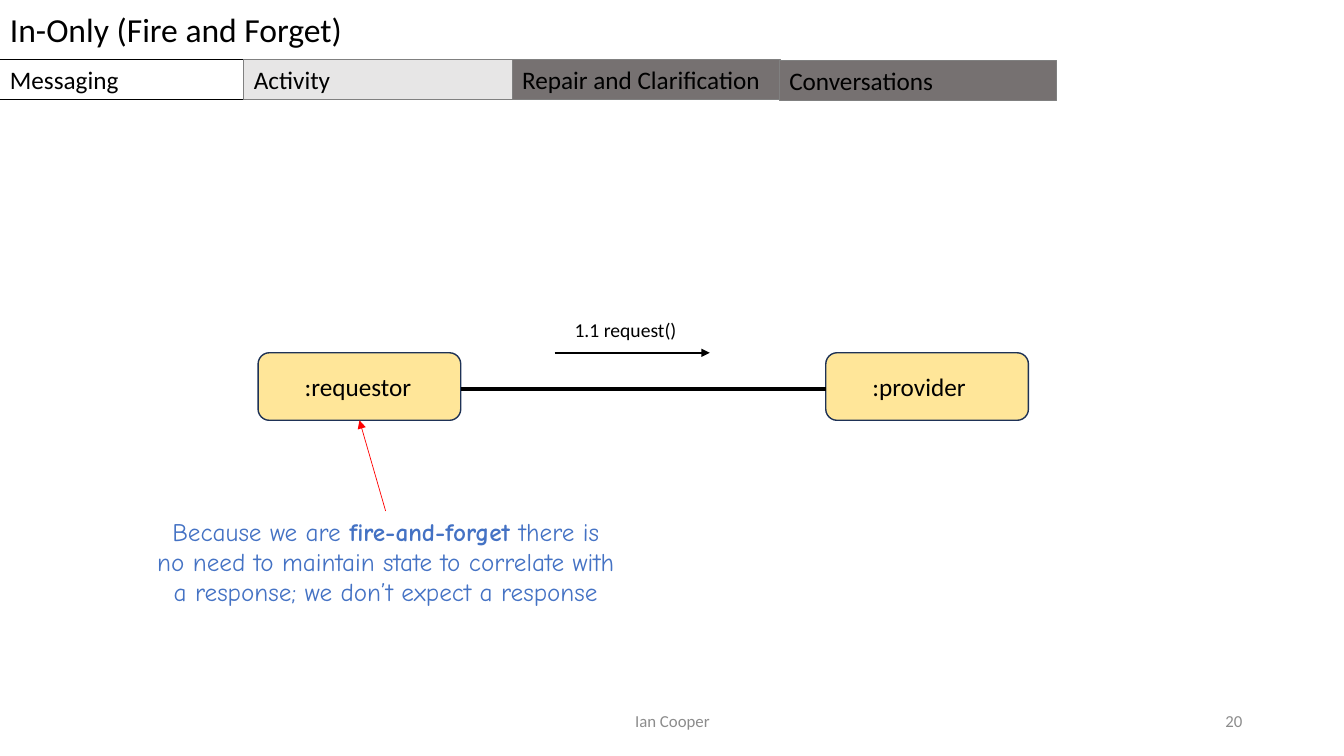
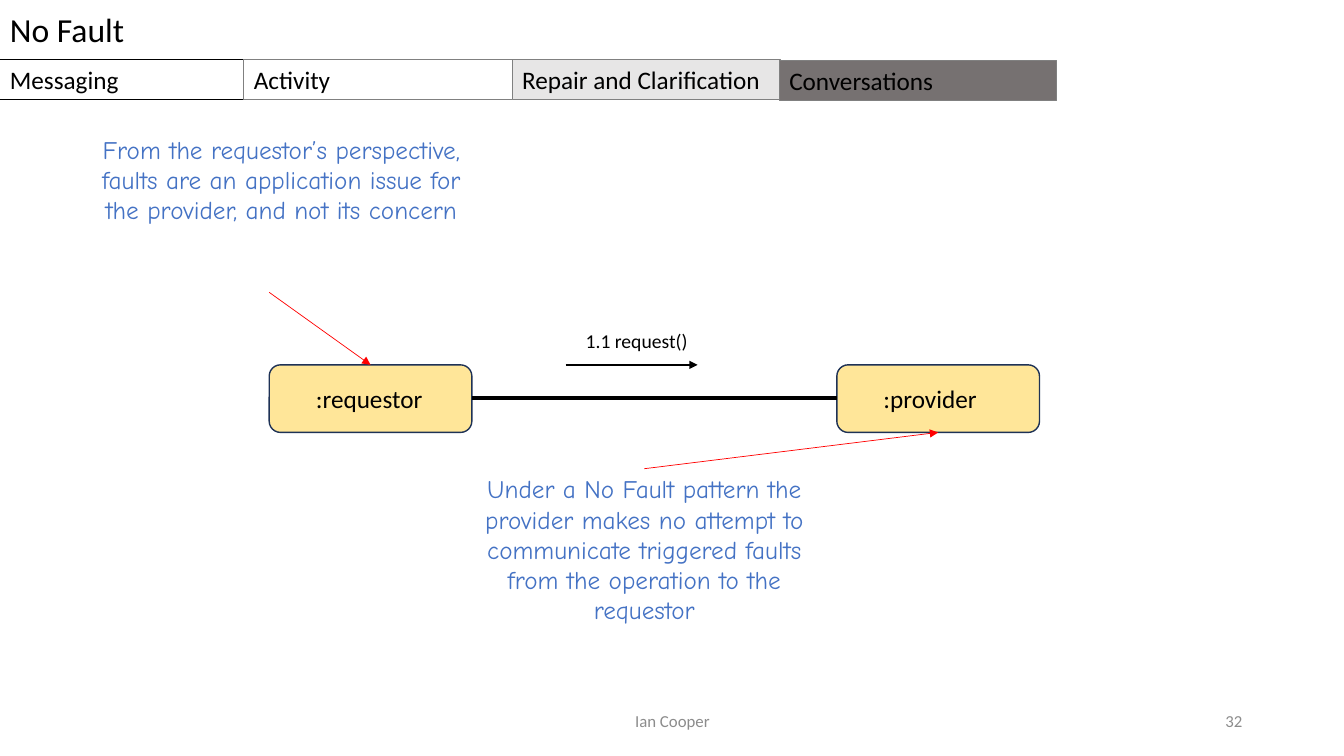
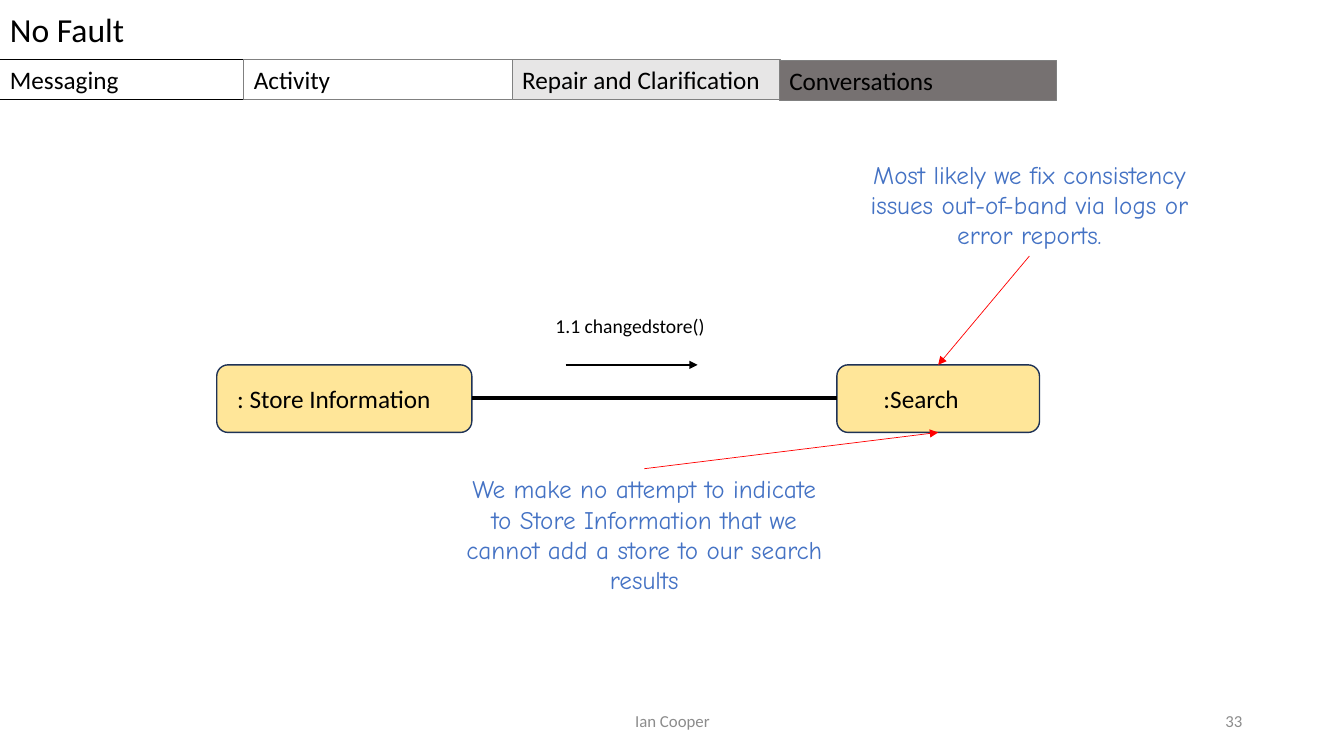
"""Build three slides on one-way messaging patterns."""
from dataclasses import dataclass

from lxml import etree
from pptx import Presentation
from pptx import util as u
from pptx.dml.color import RGBColor
from pptx.enum import shapes, text
from pptx.oxml.ns import qn

BLACK = RGBColor(0x00, 0x00, 0x00)
WHITE = RGBColor(0xFF, 0xFF, 0xFF)
GREY = RGBColor(0x80, 0x80, 0x80)
FOOTER_GREY = RGBColor(0x8C, 0x8C, 0x8C)
CURRENT = RGBColor(0xE7, 0xE6, 0xE6)
UPCOMING = RGBColor(0x76, 0x71, 0x71)
YELLOW = RGBColor(0xFF, 0xE6, 0x99)
NAVY = RGBColor(0x1E, 0x32, 0x56)
BLUE = RGBColor(0x44, 0x72, 0xC4)
RED = RGBColor(0xFF, 0x00, 0x00)

BODY_FONT = "Calibri"
NOTE_FONT = "Comic Neue"
LEFT, CENTER, RIGHT = (text.PP_ALIGN.LEFT, text.PP_ALIGN.CENTER, text.PP_ALIGN.RIGHT)
TOP, MIDDLE = text.MSO_ANCHOR.TOP, text.MSO_ANCHOR.MIDDLE


@dataclass(frozen=True)
class Box:
    """A rectangle on the page, in inches."""
    left: float
    top: float
    width: float
    height: float

    @property
    def right(self):
        """Return the right edge."""
        return self.left + self.width

    @property
    def top_middle(self):
        """Return the middle of the top edge."""
        return self.left + self.width / 2, self.top

    @property
    def bottom_middle(self):
        """Return the middle of the bottom edge."""
        return self.left + self.width / 2, self.top + self.height

    def lengths(self):
        """Return the four measures as lengths."""
        return [u.Inches(value) for value in (self.left, self.top, self.width, self.height)]


@dataclass(frozen=True)
class Participant:
    """A named object in a message exchange."""
    name: str
    box: Box
    indent: float = 0.43


@dataclass(frozen=True)
class Message:
    """A call label with its arrow, placed from the sender's top right corner."""
    label: str
    label_box: Box
    arrow_length: float
    link_drop: float


@dataclass(frozen=True)
class Note:
    """A comment whose pointer runs from start to end."""
    box: Box
    spans: tuple
    start: tuple
    end: tuple


TITLE_BOX = Box(0, -0.01, 13.33, 0.61)
AUTHOR_BOX = Box(4.42, 6.95, 4.5, 0.4)
NUMBER_BOX = Box(9.42, 6.95, 3, 0.4)
TABS = (
    ("Messaging", Box(0, 0.59, 2.43, 0.4), BLACK),
    ("Activity", Box(2.42, 0.59, 2.66, 0.4), GREY),
    ("Repair and Clarification", Box(5.08, 0.59, 2.66, 0.4), GREY),
    ("Conversations", Box(7.73, 0.6, 2.75, 0.4), GREY),
)


def write(shape, spans, size, color=BLACK, font=BODY_FONT, align=LEFT,
          anchor=TOP, wrap=True, **margins):
    """Write (text, bold) spans as one paragraph of the shape."""
    frame = shape.text_frame
    settings = {"word_wrap": wrap, "vertical_anchor": anchor}
    settings.update({name: u.Inches(value) for name, value in margins.items()})
    for name, value in settings.items():
        setattr(frame, name, value)
    para = frame.paragraphs[0]
    para.alignment = align
    for words, bold in spans:
        span = para.add_run()
        span.text = words
        for name, value in {"name": font, "size": u.Pt(size), "bold": bold}.items():
            setattr(span.font, name, value)
        span.font.color.rgb = color


def add_text(page, box, spans, size, **style):
    """Add a text box."""
    write(page.shapes.add_textbox(*box.lengths()), spans, size, **style)


def add_block(page, box, fill, line=None, width=0.75,
              kind=shapes.MSO_SHAPE.RECTANGLE):
    """Add a filled shape with an optional outline."""
    block = page.shapes.add_shape(kind, *box.lengths())
    block.shadow.inherit = False
    block.fill.solid()
    block.fill.fore_color.rgb = fill
    if line is None:
        block.line.fill.background()
    else:
        block.line.color.rgb = line
        block.line.width = u.Pt(width)
    return block


def add_line(page, start, end, color, width, arrow=False):
    """Add a straight connector, with an arrowhead at its end if asked."""
    points = [u.Inches(value) for value in (*start, *end)]
    line = page.shapes.add_connector(shapes.MSO_CONNECTOR.STRAIGHT, *points)
    line.line.color.rgb = color
    line.line.width = u.Pt(width)
    if arrow:
        etree.SubElement(line.line._get_or_add_ln(), qn("a:tailEnd"), type="triangle")
    etree.SubElement(line._element.spPr, qn("a:effectLst"))


def add_frame(page, title, number):
    """Add the title band and the footer."""
    band = add_block(page, TITLE_BOX, WHITE)
    write(band, [(title, False)], 24, margin_top=0.1, margin_bottom=0.1)
    footers = ((AUTHOR_BOX, "Ian Cooper", CENTER), (NUMBER_BOX, str(number), RIGHT))
    for box, words, align in footers:
        add_text(page, box, [(words, False)], 12, color=FOOTER_GREY,
                 align=align, anchor=MIDDLE)


def add_tabs(page, current):
    """Add the topic tabs: white when done, light when current, dark when to come."""
    names = [name for name, _, _ in TABS]
    position = names.index(current)
    for index, (name, box, line) in enumerate(TABS):
        fill = WHITE if index < position else CURRENT if index == position else UPCOMING
        write(add_block(page, box, fill, line), [(name, False)], 18)


def add_exchange(page, sender, receiver, message):
    """Add two participants, the link between them and the message."""
    for participant in (sender, receiver):
        block = add_block(page, participant.box, YELLOW, NAVY, 1,
                          shapes.MSO_SHAPE.ROUNDED_RECTANGLE)
        write(block, [(participant.name, False)], 18, anchor=MIDDLE, wrap=False,
              margin_left=participant.indent)
    left, top = sender.box.right, sender.box.top
    link_top = top + message.link_drop
    add_line(page, (left, link_top), (receiver.box.left, link_top), BLACK, 2.5)
    arrow_left = left + 0.93
    add_line(page, (arrow_left, top), (arrow_left + message.arrow_length, top),
             BLACK, 1.5, arrow=True)
    offset = message.label_box
    label_box = Box(left + offset.left, top + offset.top, offset.width, offset.height)
    add_text(page, label_box, [(message.label, False)], 14, wrap=False)


def add_note(page, note):
    """Add a comment and its red pointer."""
    add_text(page, note.box, note.spans, 18, color=BLUE, font=NOTE_FONT, align=CENTER)
    add_line(page, note.start, note.end, RED, 0.5, arrow=True)


def add_pattern_slide(deck, title, number, topic, sender, receiver, message, notes):
    """Add one slide that shows a messaging pattern."""
    page = deck.slides.add_slide(deck.slide_layouts[6])
    add_frame(page, title, number)
    add_exchange(page, sender, receiver, message)
    for note in notes:
        add_note(page, note)
    add_tabs(page, topic)


def add_fire_and_forget(deck):
    """Add the fire and forget slide."""
    requestor = Participant(":requestor", Box(2.56, 3.5, 2.01, 0.67))
    provider = Participant(":provider", Box(8.19, 3.5, 2.01, 0.67))
    message = Message("1.1 request()", Box(1.03, -0.4, 1.31, 0.34), 1.54, 0.36)
    box = Box(1.45, 5.07, 4.75, 1.31)
    spans = (
        ("Because we are ", False),
        ("fire-and-forget ", True),
        ("there is no need to maintain state to correlate with a response; "
         "we don’t expect a response", False),
    )
    note = Note(box, spans, box.top_middle, requestor.box.bottom_middle)
    add_pattern_slide(deck, "In-Only (Fire and Forget)", 20, "Activity",
                      requestor, provider, message, [note])


def add_no_fault(deck):
    """Add the general slide and the example slide of the No Fault pattern."""
    receiver_box = Box(8.3, 3.62, 2.01, 0.67)
    requestor = Participant(":requestor", Box(2.67, 3.62, 2.01, 0.67))
    provider = Participant(":provider", receiver_box)
    request = Message("1.1 request()", Box(1.03, -0.41, 1.31, 0.34), 1.31, 0.33)
    lower = Box(4.49, 4.65, 3.8, 1.62)
    pointer = (lower.top_middle, receiver_box.bottom_middle)
    pattern_notes = [
        Note(lower, (("Under a No Fault pattern the provider makes no attempt to "
                      "communicate triggered faults from the operation to the "
                      "requestor", False),), *pointer),
        Note(Box(0.89, 1.28, 3.8, 1.31),
             (("From the requestor’s perspective, faults are an application issue "
               "for the provider, and not its concern", False),),
             (2.67, 2.9), requestor.box.top_middle),
    ]
    add_pattern_slide(deck, "No Fault", 32, "Repair and Clarification",
                      requestor, provider, request, pattern_notes)

    store = Participant(": Store Information", Box(2.15, 3.62, 2.53, 0.67), 0.17)
    search = Participant(":Search", receiver_box)
    change = Message("1.1 changedstore()", Box(0.73, -0.55, 1.71, 0.34), 1.31, 0.33)
    upper = Box(8.31, 1.53, 3.8, 1.01)
    example_notes = [
        Note(lower, (("We make no attempt to indicate to Store Information that we "
                      "cannot add a store to our search results", False),), *pointer),
        Note(upper, (("Most likely we fix consistency issues out-of-band via logs or "
                      "error reports.", False),),
             upper.bottom_middle, receiver_box.top_middle),
    ]
    add_pattern_slide(deck, "No Fault", 33, "Repair and Clarification",
                      store, search, change, example_notes)


def main():
    """Build and save the deck."""
    deck = Presentation()
    deck.slide_width, deck.slide_height = u.Inches(13.33), u.Inches(7.5)
    add_fire_and_forget(deck)
    add_no_fault(deck)
    deck.save("out.pptx")


if __name__ == "__main__":
    main()
